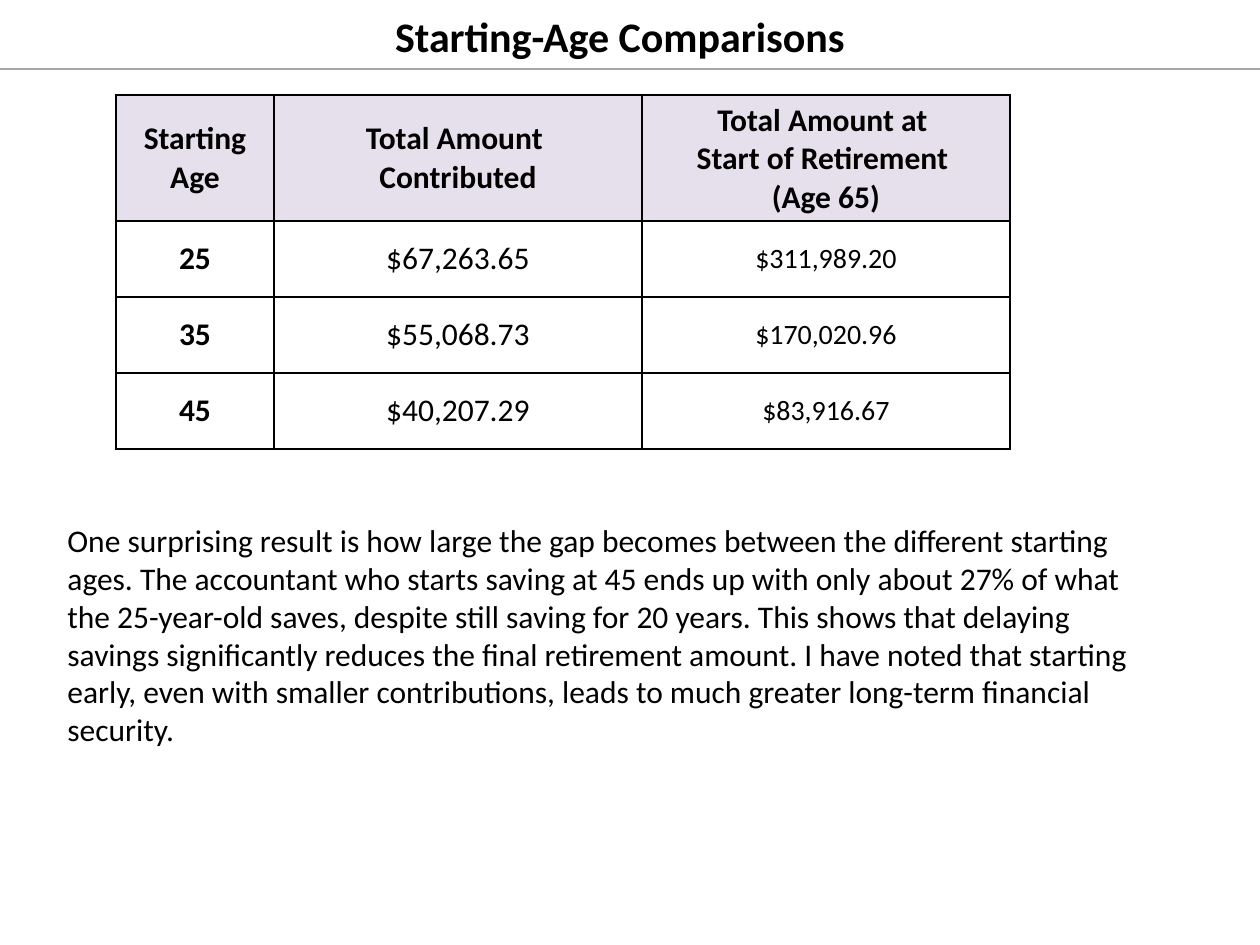
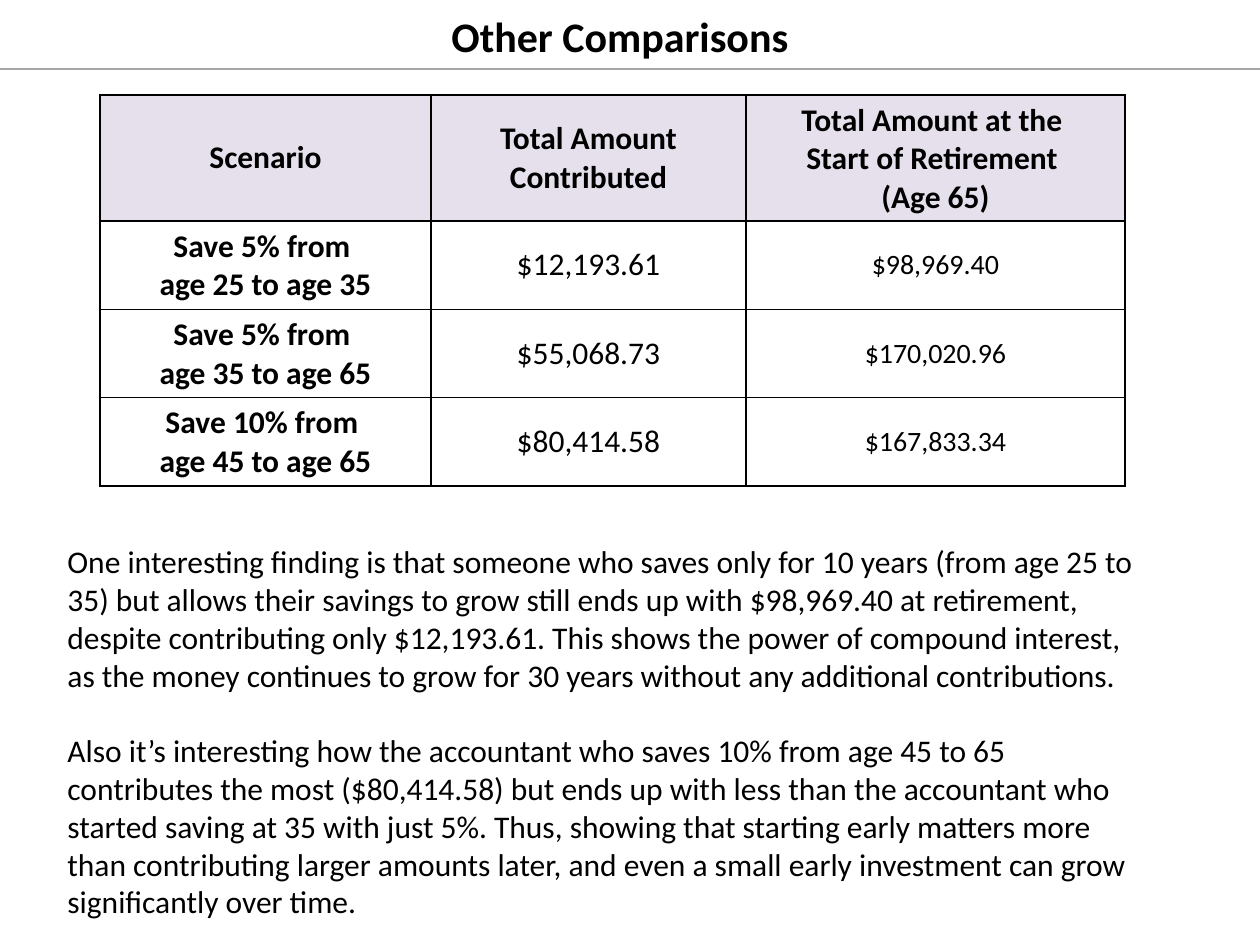
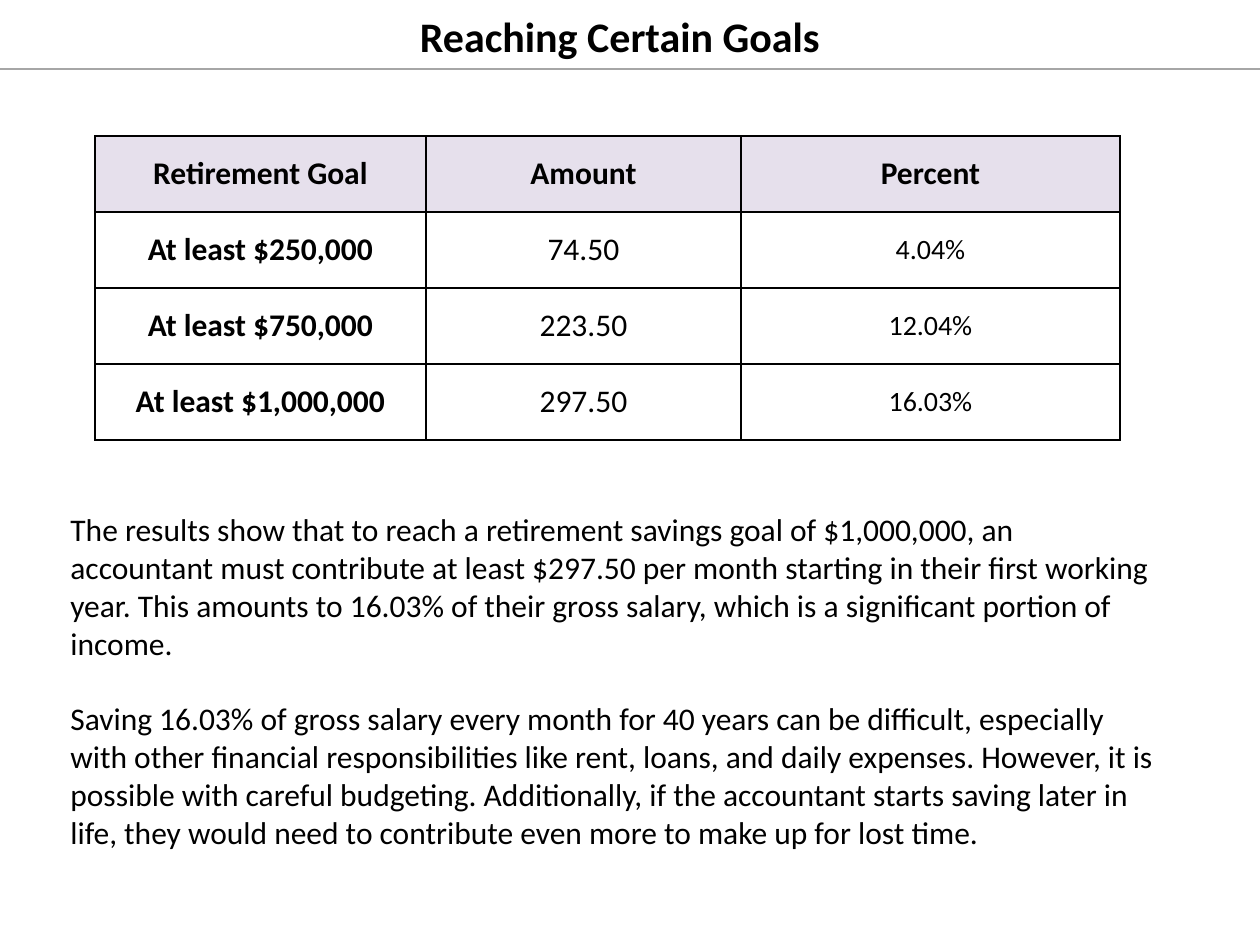
import pptx
import pptx.dml.color
import pptx.enum.shapes
import pptx.enum.text
import pptx.oxml.ns
import pptx.util
from lxml import etree

PIXELS_PER_INCH = 126
SLIDE_WIDTH, SLIDE_HEIGHT = 1260, 945
FONT = "Calibri"
BLACK = pptx.dml.color.RGBColor(0x00, 0x00, 0x00)
RULE_GRAY = pptx.dml.color.RGBColor(0xA6, 0xA6, 0xA6)
HEADER_LILAC = pptx.dml.color.RGBColor(0xE6, 0xE0, 0xEC)
# Point size and boldness of the table's columns, below the header row
COLUMN_STYLES = [(18, True), (18, False), (16, False)]
HEADER_STYLE = (18, True)
WIDE_COLUMNS = [331, 315, 379]


def px(length):
    return pptx.util.Inches(length / PIXELS_PER_INCH)


def style_paragraph(paragraph, size, bold=False, centered=False):
    if centered:
        paragraph.alignment = pptx.enum.text.PP_ALIGN.CENTER
    paragraph.font.name = FONT
    paragraph.font.size = pptx.util.Pt(size)
    paragraph.font.bold = bold
    paragraph.font.color.rgb = BLACK


def add_text_box(slide, left, top, width, height):
    box = slide.shapes.add_textbox(px(left), px(top), px(width), px(height))
    box.text_frame.word_wrap = True
    return box.text_frame


def add_title(slide, title):
    # Rule under the title
    rule = slide.shapes.add_connector(
        pptx.enum.shapes.MSO_CONNECTOR.STRAIGHT, 0, px(69), px(SLIDE_WIDTH), px(69))
    rule.line.color.rgb = RULE_GRAY
    rule.line.width = pptx.util.Pt(0.75)
    etree.SubElement(rule._element.spPr, pptx.oxml.ns.qn("a:effectLst"))
    # Title text
    frame = add_text_box(slide, 53, 8, 1134, 55)
    frame.vertical_anchor = pptx.enum.text.MSO_ANCHOR.MIDDLE
    paragraph = frame.paragraphs[0]
    paragraph.text = title
    style_paragraph(paragraph, 24, bold=True, centered=True)


def add_borders(cell):
    properties = cell._tc.get_or_add_tcPr()
    for side in ("lnL", "lnR", "lnT", "lnB"):
        line = etree.SubElement(properties, pptx.oxml.ns.qn(f"a:{side}"), w=str(pptx.util.Pt(1)))
        fill = etree.SubElement(line, pptx.oxml.ns.qn("a:solidFill"))
        etree.SubElement(fill, pptx.oxml.ns.qn("a:srgbClr"), val=str(BLACK))


def fill_cell(cell, text, style, is_header):
    cell.vertical_anchor = pptx.enum.text.MSO_ANCHOR.MIDDLE
    add_borders(cell)
    if is_header:
        cell.fill.solid()
        cell.fill.fore_color.rgb = HEADER_LILAC
    else:
        cell.fill.background()
    paragraph = cell.text_frame.paragraphs[0]
    paragraph.text = text
    size, bold = style
    style_paragraph(paragraph, size, bold, centered=True)


def add_comparison_table(slide, left, top, column_widths, header_height, row_height, rows):
    heights = [header_height] + [row_height] * (len(rows) - 1)
    table = slide.shapes.add_table(
        len(rows), len(column_widths), px(left), px(top),
        px(sum(column_widths)), px(sum(heights))).table
    table.first_row = False
    table.horz_banding = False
    for column, width in zip(table.columns, column_widths):
        column.width = px(width)
    for row_index, (texts, height) in enumerate(zip(rows, heights)):
        table.rows[row_index].height = px(height)
        is_header = row_index == 0
        for column_index, text in enumerate(texts):
            style = HEADER_STYLE if is_header else COLUMN_STYLES[column_index]
            fill_cell(table.cell(row_index, column_index), text, style, is_header)


def add_commentary(slide, left, top, height, texts):
    frame = add_text_box(slide, left, top, 1113, height)
    for index, text in enumerate(texts):
        paragraph = frame.add_paragraph() if index else frame.paragraphs[0]
        paragraph.text = text
        if index:
            paragraph.space_before = pptx.util.Pt(21.6)
        style_paragraph(paragraph, 18)


def add_slide(presentation, title):
    slide = presentation.slides.add_slide(presentation.slide_layouts[6])
    add_title(slide, title)
    return slide


def main():
    presentation = pptx.Presentation()
    presentation.slide_width = px(SLIDE_WIDTH)
    presentation.slide_height = px(SLIDE_HEIGHT)

    # Starting ages
    slide = add_slide(presentation, "Starting-Age Comparisons")
    add_comparison_table(slide, 116, 95, [158, 368, 368], 126, 76, [
        ("Starting Age", "Total Amount \vContributed",
         "Total Amount at \vStart of Retirement \v(Age 65)"),
        ("25", "$67,263.65", "$311,989.20"),
        ("35", "$55,068.73", "$170,020.96"),
        ("45", "$40,207.29", "$83,916.67"),
    ])
    add_commentary(slide, 55, 515, 242, [
        "One surprising result is how large the gap becomes between the different starting ages. "
        "The accountant who starts saving at 45 ends up with only about 27% of what the "
        "25-year-old saves, despite still saving for 20 years. This shows that delaying savings "
        "significantly reduces the final retirement amount. I have noted that starting early, "
        "even with smaller contributions, leads to much greater long-term financial security.",
    ])

    # Saving scenarios
    slide = add_slide(presentation, "Other Comparisons")
    add_comparison_table(slide, 100, 95, WIDE_COLUMNS, 126, 88, [
        ("Scenario", "Total Amount Contributed",
         "Total Amount at the \vStart of Retirement \v(Age 65)"),
        ("Save 5% from \vage 25 to age 35", "$12,193.61", "$98,969.40"),
        ("Save 5% from \vage 35 to age 65", "$55,068.73", "$170,020.96"),
        ("Save 10% from \vage 45 to age 65", "$80,414.58", "$167,833.34"),
    ])
    add_commentary(slide, 55, 536, 394, [
        "One interesting finding is that someone who saves only for 10 years (from age 25 to 35) "
        "but allows their savings to grow still ends up with $98,969.40 at retirement, despite "
        "contributing only $12,193.61. This shows the power of compound interest, as the money "
        "continues to grow for 30 years without any additional contributions.",
        "Also it’s interesting how the accountant who saves 10% from age 45 to 65 contributes "
        "the most ($80,414.58) but ends up with less than the accountant who started saving at "
        "35 with just 5%. Thus, showing that starting early matters more than contributing "
        "larger amounts later, and even a small early investment can grow significantly over time.",
    ])

    # Retirement goals
    slide = add_slide(presentation, "Reaching Certain Goals")
    add_comparison_table(slide, 95, 136, WIDE_COLUMNS, 76, 76, [
        ("Retirement Goal", "Amount", "Percent"),
        ("At least $250,000", "74.50", "4.04%"),
        ("At least $750,000", "223.50", "12.04%"),
        ("At least $1,000,000", "297.50", "16.03%"),
    ])
    add_commentary(slide, 58, 504, 394, [
        "The results show that to reach a retirement savings goal of $1,000,000, an accountant "
        "must contribute at least $297.50 per month starting in their first working year. This "
        "amounts to 16.03% of their gross salary, which is a significant portion of income.",
        "Saving 16.03% of gross salary every month for 40 years can be difficult, especially "
        "with other financial responsibilities like rent, loans, and daily expenses. However, "
        "it is possible with careful budgeting. Additionally, if the accountant starts saving "
        "later in life, they would need to contribute even more to make up for lost time.",
    ])

    presentation.save("out.pptx")


if __name__ == "__main__":
    main()
